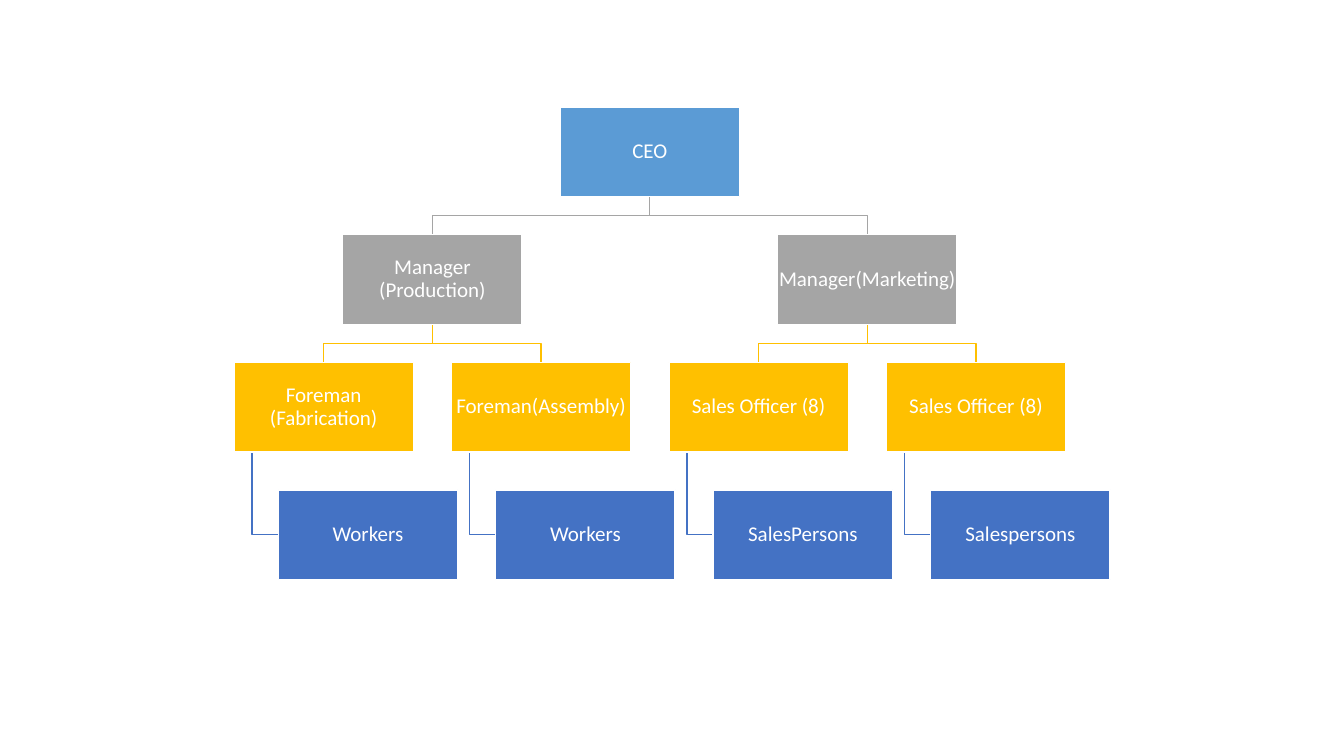
from itertools import count

from pptx import Presentation
from pptx.dml.color import RGBColor
from pptx.enum.shapes import MSO_SHAPE
from pptx.enum.text import MSO_ANCHOR, PP_ALIGN
from pptx.util import Inches, Pt

RECTANGLE = MSO_SHAPE.RECTANGLE
MIDDLE = MSO_ANCHOR.MIDDLE
CENTER = PP_ALIGN.CENTER

WHITE = RGBColor(0xFF, 0xFF, 0xFF)
BLUE = RGBColor(0x5B, 0x9B, 0xD5)
GRAY = RGBColor(0xA5, 0xA5, 0xA5)
GOLD = RGBColor(0xFF, 0xC0, 0x00)
INDIGO = RGBColor(0x44, 0x72, 0xC4)
LEVEL_COLORS = [BLUE, GRAY, GOLD, INDIGO]

ROLE_WIDTH, ROLE_HEIGHT = Inches(1.78), Inches(0.89)
STAFF_INDENT = Inches(0.44)  # how far staff sit to the right of their head
TRUNK_INSET = Inches(0.18)  # where the line to the staff leaves the head
MARGIN = Inches(0.01)
FRAME_FORMAT = {
    "word_wrap": True, "vertical_anchor": MIDDLE,
    "margin_left": MARGIN, "margin_right": MARGIN,
    "margin_top": MARGIN, "margin_bottom": MARGIN,
}
PARAGRAPH_FORMAT = {"alignment": CENTER, "line_spacing": 0.9}
FONT_FORMAT = {"name": "Calibri", "size": Pt(15)}

# Each role is (title, subordinates)
ORGANIZATION = ("CEO", [
    ("Manager (Production)", [
        ("Foreman (Fabrication)", [("Workers", [])]),
        ("Foreman(Assembly)", [("Workers", [])]),
    ]),
    ("Manager(Marketing)", [
        ("Sales Officer (8)", [("SalesPersons", [])]),
        ("Sales Officer (8)", [("Salespersons", [])]),
    ]),
])


def apply_format(target, values):
    for attribute, value in values.items():
        setattr(target, attribute, value)


def draw_branch(slide, points, color):
    builder = slide.shapes.build_freeform(*points[0])
    builder.add_line_segments(points[1:], close=False)
    branch = builder.convert_to_shape()
    branch.shadow.inherit = False
    branch.fill.background()
    branch.line.color.rgb = color
    branch.line.width = Pt(1)


def draw_role(slide, title, left, top, color):
    role = slide.shapes.add_shape(RECTANGLE, left, top, ROLE_WIDTH, ROLE_HEIGHT)
    role.shadow.inherit = False
    role.fill.solid()
    role.fill.fore_color.rgb = color
    role.line.color.rgb = WHITE
    role.line.width = Pt(1)
    frame = role.text_frame
    apply_format(frame, FRAME_FORMAT)
    paragraph = frame.paragraphs[0]
    paragraph.text = title
    apply_format(paragraph, PARAGRAPH_FORMAT)
    apply_format(paragraph.font, FONT_FORMAT)
    paragraph.font.color.rgb = WHITE


def draw_org_chart(slide, left, top, width, height):
    column_pitch = (width - ROLE_WIDTH - STAFF_INDENT) / 3
    row_pitch = (height - ROLE_HEIGHT) / 3
    staff_level = len(LEVEL_COLORS) - 1
    columns = count()
    roles, branches = [], []

    def place(role, level):
        """Place a role and everyone below it; return its left edge."""
        title, subordinates = role
        role_top = round(top + level * row_pitch)
        role_bottom = role_top + ROLE_HEIGHT
        next_top = round(top + (level + 1) * row_pitch)
        if level + 1 == staff_level:
            # Head of a column, with staff indented below
            role_left = round(left + next(columns) * column_pitch)
            staff_left = role_left + STAFF_INDENT
            trunk = role_left + TRUNK_INSET
            staff_middle = next_top + ROLE_HEIGHT // 2
            for staff_title, _ in subordinates:
                roles.append((staff_title, staff_left, next_top, staff_level))
                branches.append(([(trunk, role_bottom), (trunk, staff_middle),
                                  (staff_left, staff_middle)], staff_level))
        else:
            # Manager centred over the subordinates
            lefts = [place(subordinate, level + 1) for subordinate in subordinates]
            role_left = (lefts[0] + lefts[-1]) // 2
            center = role_left + ROLE_WIDTH // 2
            bend = (role_bottom + next_top) // 2
            for child_left in lefts:
                child_center = child_left + ROLE_WIDTH // 2
                branches.append(([(center, role_bottom), (center, bend),
                                  (child_center, bend),
                                  (child_center, next_top)], level + 1))
        roles.append((title, role_left, role_top, level))
        return role_left

    place(ORGANIZATION, 0)
    # Branches lie behind the roles
    for points, level in branches:
        draw_branch(slide, points, LEVEL_COLORS[level])
    for title, role_left, role_top, level in roles:
        draw_role(slide, title, role_left, role_top, LEVEL_COLORS[level])


def main():
    presentation = Presentation()
    presentation.slide_width = Inches(13.33)
    presentation.slide_height = Inches(7.5)
    slide = presentation.slides.add_slide(presentation.slide_layouts[6])
    draw_org_chart(slide, Inches(2.32), Inches(1.06), Inches(8.69), Inches(4.69))
    presentation.save("out.pptx")


if __name__ == "__main__":
    main()
